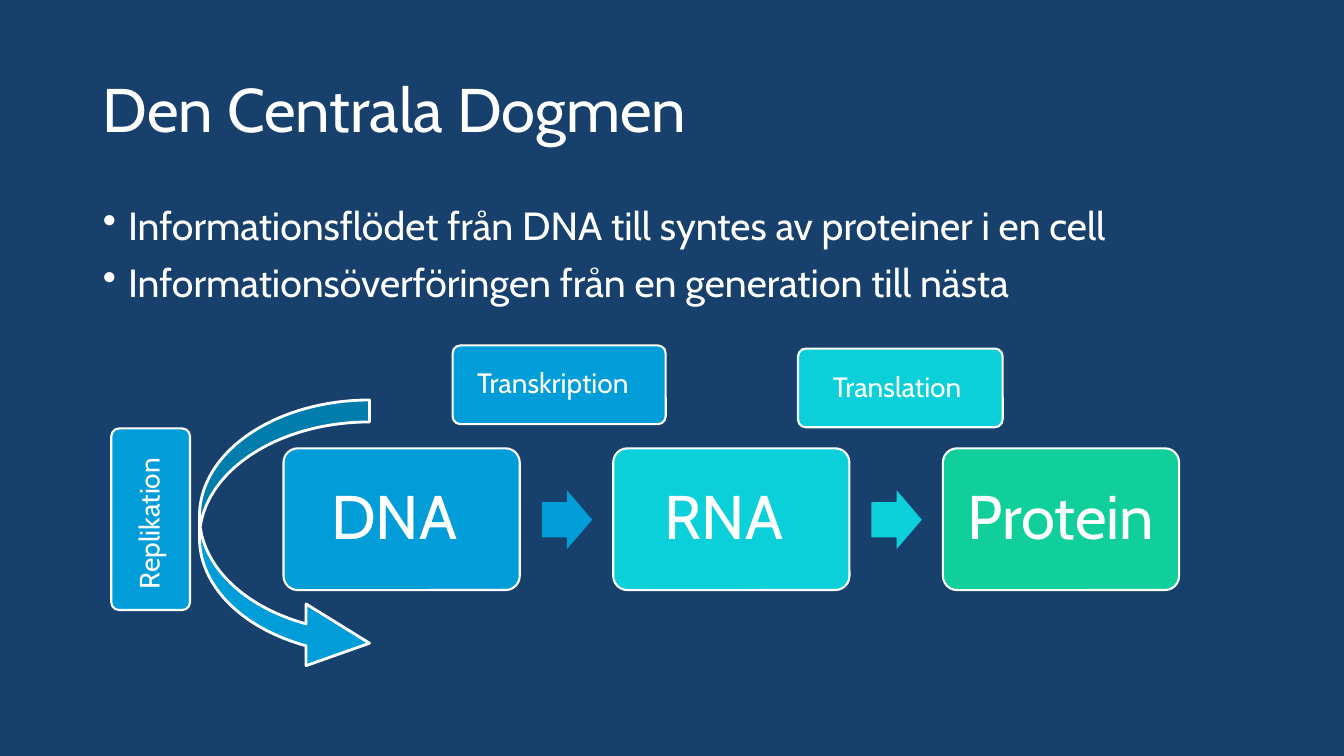
from dataclasses import dataclass

from lxml import etree
from pptx import Presentation
from pptx.dml.color import RGBColor
from pptx.enum.shapes import MSO_SHAPE
from pptx.enum.text import MSO_ANCHOR, PP_ALIGN
from pptx.oxml.ns import qn
from pptx.util import Emu, Pt

ROUNDED = MSO_SHAPE.ROUNDED_RECTANGLE
ARROW = MSO_SHAPE.RIGHT_ARROW
CURVED_ARROW = MSO_SHAPE.CURVED_RIGHT_ARROW
TOP, MIDDLE = MSO_ANCHOR.TOP, MSO_ANCHOR.MIDDLE
LEFT, CENTER = PP_ALIGN.LEFT, PP_ALIGN.CENTER
EMU_PER_PX = 9525


@dataclass(frozen=True)
class Theme:
    """Colours, font and type sizes of the slide."""
    font: str = "Cabin"
    background: str = "17406D"
    white: str = "FFFFFF"
    blue: str = "009DD9"
    cyan: str = "0BD0D9"
    green: str = "10CF9B"
    heading: int = 44
    body: int = 28
    label: int = 20


def px(length):
    """Turn a length in px into EMU."""
    return Emu(length * EMU_PER_PX)


def write(frame, lines, *, theme, size, align=LEFT, anchor=TOP,
          insets=(10, 5, 10, 5), bulleted=False, space_before=0):
    """Fill a text frame with one paragraph per line."""
    frame.word_wrap = True
    frame.vertical_anchor = anchor
    (frame.margin_left, frame.margin_top,
     frame.margin_right, frame.margin_bottom) = map(px, insets)
    for index, line in enumerate(lines):
        para = frame.add_paragraph() if index else frame.paragraphs[0]
        para.alignment = align
        para.line_spacing = 0.9
        para.space_before = Pt(space_before if index else 0)
        if bulleted:
            properties = para._p.get_or_add_pPr()
            properties.set("marL", str(px(24)))
            properties.set("indent", str(px(-24)))
            etree.SubElement(properties, qn("a:buChar")).set("char", "•")
        span = para.add_run()
        span.text = line
        span.font.name = theme.font
        span.font.size = Pt(size)
        span.font.color.rgb = RGBColor.from_string(theme.white)


class FlowSlide:
    """Draws the elements of one slide in one theme."""

    def __init__(self, deck, theme):
        """Add a blank slide with the theme background."""
        self.theme = theme
        self.slide = deck.slides.add_slide(deck.slide_layouts[6])
        fill = self.slide.background.fill
        fill.solid()
        fill.fore_color.rgb = RGBColor.from_string(theme.background)

    def text(self, place, lines, **style):
        """Add a text box."""
        box = self.slide.shapes.add_textbox(*map(px, place))
        write(box.text_frame, lines, theme=self.theme, **style)

    def shape(self, kind, place, color, *, adjustments, outline=0):
        """Add a filled shape, outlined in white if asked."""
        shape = self.slide.shapes.add_shape(kind, *map(px, place))
        shape.shadow.inherit = False
        for index, value in enumerate(adjustments):
            shape.adjustments[index] = value
        shape.fill.solid()
        shape.fill.fore_color.rgb = RGBColor.from_string(color)
        if outline:
            shape.line.color.rgb = RGBColor.from_string(self.theme.white)
            shape.line.width = Pt(outline)
        else:
            shape.line.fill.background()
        return shape

    def card(self, place, text, color, *, size, shift=0, rotation=0):
        """Add a rounded card whose text sits half the shift before its centre."""
        card = self.shape(ROUNDED, place, color, adjustments=[0.1], outline=1.5)
        card.rotation = rotation
        write(card.text_frame, [text], theme=self.theme, size=size, align=CENTER,
              anchor=MIDDLE, insets=(17, 17, 17 + shift, 17))


def main():
    """Build the slide and save it."""
    theme = Theme()
    deck = Presentation()
    deck.slide_width, deck.slide_height = px(1280), px(720)
    page = FlowSlide(deck, theme)

    page.text((88, 38, 1104, 139), ["Den Centrala Dogmen"],
              size=theme.heading, anchor=MIDDLE)
    page.text((88, 192, 1104, 457),
              ["Informationsflödet från DNA till syntes av proteiner i en cell",
               "Informationsöverföringen från en generation till nästa"],
              size=theme.body, bulleted=True, space_before=10)

    stages = [("DNA", theme.blue, 14), ("RNA", theme.cyan, 14),
              ("Protein", theme.green, 0)]
    for index, (name, color, shift) in enumerate(stages):
        left = 270 + index * 314
        page.card((left, 427, 225, 135), name, color,
                  size=theme.heading, shift=shift)
        if index < len(stages) - 1:
            page.shape(ARROW, (left + 246, 467, 48, 56), color,
                       adjustments=[0.6, 0.5])

    processes = [("Replikation", (57, 457, 173, 75), theme.blue, 8, 270),
                 ("Translation", (760, 332, 195, 75), theme.cyan, 6, 0),
                 ("Transkription", (431, 329, 203, 75), theme.blue, 12, 0)]
    for name, place, color, shift, rotation in processes:
        page.card(place, name, color, size=theme.label,
                  shift=shift, rotation=rotation)
    page.shape(CURVED_ARROW, (190, 381, 162, 261), theme.blue,
               adjustments=[0.129, 0.363, 0.373], outline=2)

    deck.save("out.pptx")


if __name__ == "__main__":
    main()
